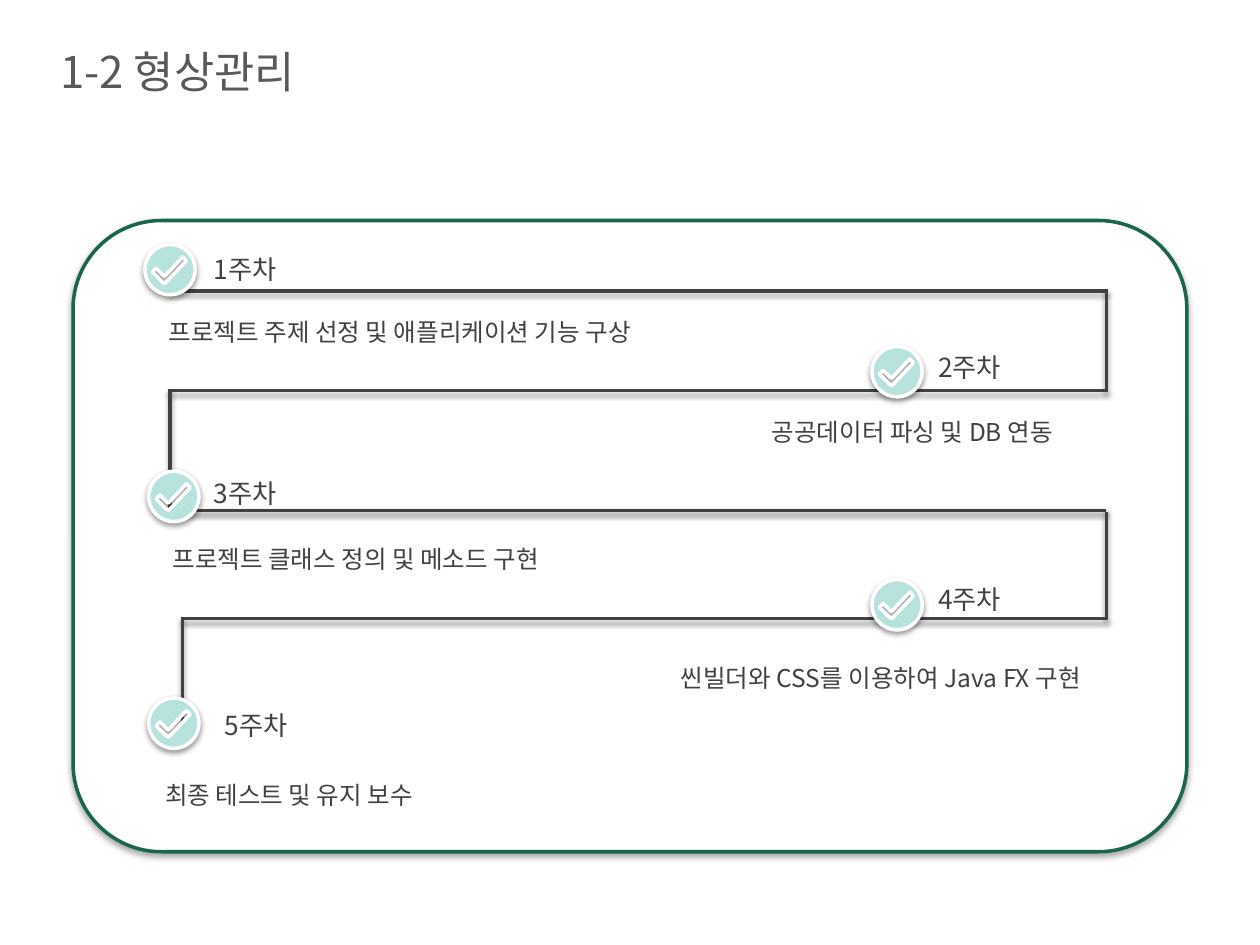
from lxml import etree
from pptx import Presentation
from pptx import util as u
from pptx.dml.color import RGBColor
from pptx.enum import shapes, text
from pptx.oxml import ns

FONT = "Noto Sans CJK KR"
INK = "404241"
MINT = "B7E2DE"
WHITE = "FFFFFF"
GREEN = "196649"
TITLE_GREY = "595959"

BADGE_RADIUS = 0.2
ARC_HANDLE = 0.55
QUARTERS = [(0, -1), (-1, 0), (0, 1), (1, 0), (0, -1)]
CHECK = [(0.1, -0.1), (0.13, -0.07), (-0.04, 0.11), (-0.06, 0.1),
         (-0.08, 0.08), (-0.14, 0.02), (-0.11, -0.01), (-0.05, 0.05),
         (-0.04, 0.05)]

ROUTE = [
    ((1.34, 2.31), (8.79, 2.31)),
    ((8.78, 3.11), (8.78, 2.31)),
    ((1.34, 3.1), (8.79, 3.1)),
    ((1.35, 4.05), (1.35, 3.09)),
    ((1.46, 4.05), (8.78, 4.05)),
    ((8.78, 4.91), (8.78, 4.06)),
    ((1.45, 4.91), (8.79, 4.91)),
    ((1.45, 5.85), (1.45, 4.9)),
]

WEEKS = [
    ((1.35, 2.14), (1.61, 1.96), (1.16, 2.47, 4.03), False, "프로젝트 주제 선정 및 애플리케이션 기능 구상"),
    ((7.12, 2.95), (7.36, 2.74), (5.73, 3.26, 3.02), True, "공공데이터 파싱 및 DB 연동"),
    ((1.38, 3.94), (1.61, 3.74), (1.21, 4.27, 3.23), False, "프로젝트 클래스 정의 및 메소드 구현"),
    ((7.12, 4.8), (7.36, 4.58), (5.18, 5.21, 3.62), False, "씬빌더와 CSS를 이용하여 Java FX 구현"),
    ((1.38, 5.74), (1.7, 5.58), (1.18, 6.14, 2.23), False, "최종 테스트 및 유지 보수"),
]


def color(value):
    return RGBColor.from_string(value)


def write_text(frame, content, size=14, ink=INK, align=text.PP_ALIGN.CENTER):
    paragraph = frame.paragraphs[0]
    paragraph.alignment = align
    run = paragraph.add_run()
    run.text = content
    run.font.name = FONT
    run.font.size = u.Pt(size)
    run.font.color.rgb = color(ink)
    east_asian = etree.SubElement(run.font._element, ns.qn("a:ea"))
    east_asian.set("typeface", FONT)


def round_badge(shape):
    radius = u.Inches(BADGE_RADIUS)
    segments = list(shape._element.iter(ns.qn("a:lnTo")))[:4]
    for segment, start, end in zip(segments, QUARTERS, QUARTERS[1:]):
        handles = [tuple(a + ARC_HANDLE * b for a, b in zip(start, end)),
                   tuple(b + ARC_HANDLE * a for a, b in zip(start, end))]
        curve = etree.Element(ns.qn("a:cubicBezTo"))
        for x, y in handles + [end]:
            etree.SubElement(curve, ns.qn("a:pt"),
                             x=str(int(radius * (1 + x))),
                             y=str(int(radius * (1 + y))))
        segment.getparent().replace(segment, curve)


class Board:
    line_width = u.Pt(2)
    inset = u.Inches(0.05)

    def __init__(self, slide):
        self.slide = slide

    def add_shadow(self, shape, opacity=38, distance=1.6):
        effects = etree.SubElement(shape._element.spPr, ns.qn("a:effectLst"))
        shadow = etree.SubElement(effects, ns.qn("a:outerShdw"))
        shadow.set("blurRad", str(u.Pt(3)))
        shadow.set("dist", str(u.Pt(distance)))
        shadow.set("dir", "5400000")
        shadow.set("rotWithShape", "0")
        shade = etree.SubElement(shadow, ns.qn("a:srgbClr"), val="000000")
        etree.SubElement(shade, ns.qn("a:alpha"), val=str(opacity * 1000))

    def paint(self, shape, fill, line):
        shape.fill.solid()
        shape.fill.fore_color.rgb = color(fill)
        shape.line.color.rgb = color(line)
        shape.line.width = self.line_width

    def panel(self, left, top, width, height):
        shape = self.slide.shapes.add_shape(
            shapes.MSO_SHAPE.ROUNDED_RECTANGLE,
            u.Inches(left), u.Inches(top), u.Inches(width), u.Inches(height))
        shape.adjustments[0] = 0.14
        self.paint(shape, WHITE, GREEN)
        self.add_shadow(shape, opacity=35, distance=1.8)

    def line(self, start, end):
        connector = self.slide.shapes.add_connector(
            shapes.MSO_CONNECTOR.STRAIGHT,
            *(u.Inches(value) for value in start + end))
        connector.line.color.rgb = color(INK)
        connector.line.width = self.line_width
        self.add_shadow(connector)

    def badge(self, x, y):
        circle = [(BADGE_RADIUS * dx, BADGE_RADIUS * dy) for dx, dy in QUARTERS]
        rim, check = [[(u.Inches(x + dx), u.Inches(y + dy)) for dx, dy in outline]
                      for outline in (circle, CHECK)]
        builder = self.slide.shapes.build_freeform(*rim[0])
        builder.add_line_segments(rim[1:], close=True)
        builder.move_to(*check[0])
        builder.add_line_segments(check[1:], close=True)
        shape = builder.convert_to_shape()
        round_badge(shape)
        self.paint(shape, MINT, WHITE)
        self.add_shadow(shape)

    def label(self, left, top, width, height, content, wrap=True,
              fit=text.MSO_AUTO_SIZE.SHAPE_TO_FIT_TEXT,
              anchor=text.MSO_ANCHOR.TOP, **style):
        box = self.slide.shapes.add_textbox(
            u.Inches(left), u.Inches(top), u.Inches(width), u.Inches(height))
        frame = box.text_frame
        frame.word_wrap = wrap
        frame.auto_size = fit
        frame.vertical_anchor = anchor
        frame.margin_left = frame.margin_right = self.inset
        frame.margin_top = frame.margin_bottom = self.inset
        write_text(frame, content, **style)


def main():
    presentation = Presentation()
    presentation.slide_width = u.Inches(10)
    presentation.slide_height = u.Inches(7.5)
    board = Board(presentation.slides.add_slide(presentation.slide_layouts[6]))

    board.panel(0.58, 1.75, 8.84, 5.01)
    board.label(0.43, 0.13, 8.38, 0.87, "1-2 형상관리", size=25, ink=TITLE_GREY,
                fit=text.MSO_AUTO_SIZE.NONE, anchor=text.MSO_ANCHOR.MIDDLE,
                align=text.PP_ALIGN.LEFT)
    for start, end in ROUTE:
        board.line(start, end)
    for center, *_ in WEEKS:
        board.badge(*center)
    for number, (_, heading, detail, wrap, task) in enumerate(WEEKS, 1):
        board.label(*heading, 0.67, 0.34, f"{number}주차", size=15)
        board.label(*detail, 0.33, task, wrap=wrap)

    presentation.save("out.pptx")


if __name__ == "__main__":
    main()
